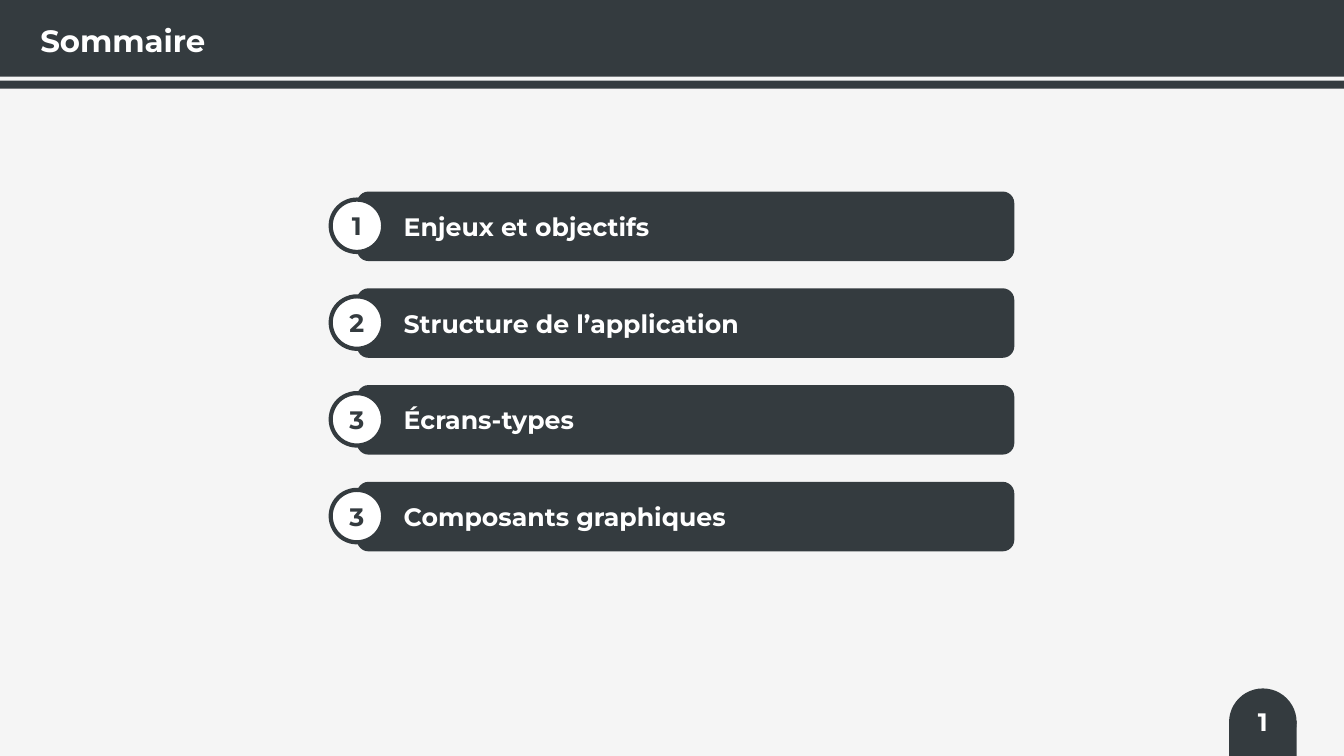
from dataclasses import dataclass

from pptx import Presentation
from pptx.dml.color import RGBColor
from pptx.enum.shapes import MSO_SHAPE as Preset
from pptx.enum.text import MSO_ANCHOR as Anchor, MSO_AUTO_SIZE as AutoSize, PP_ALIGN as Align
from pptx.shapes.autoshape import Shape
from pptx.slide import Slide
from pptx.text.text import TextFrame
from pptx.util import Emu, Pt

EMU_PER_PX = 9144
SLIDE_WIDTH, SLIDE_HEIGHT = 1333, 750
DARK, WHITE, BACKGROUND = "343B3F", "FFFFFF", "F5F5F5"
FONT = "Montserrat"
FIRST_ROW_TOP, ROW_PITCH = 190, 96


@dataclass(frozen=True)
class Box:
    left: int
    top: int
    width: int
    height: int


@dataclass(frozen=True)
class Entry:
    number: str
    label: str


ENTRIES = [
    Entry("1", "Enjeux et objectifs"),
    Entry("2", "Structure de l’application"),
    Entry("3", "Écrans-types"),
    Entry("3", "Composants graphiques"),
]


def px(length: int) -> Emu:
    return Emu(length * EMU_PER_PX)


def color(value: str) -> RGBColor:
    return RGBColor.from_string(value)


def add_block(slide: Slide, preset: Preset, box: Box, fill: str = DARK) -> Shape:
    shape = slide.shapes.add_shape(
        preset, px(box.left), px(box.top), px(box.width), px(box.height)
    )
    shape.shadow.inherit = False
    shape.fill.solid()
    shape.fill.fore_color.rgb = color(fill)
    shape.line.fill.background()
    return shape


def write(frame: TextFrame, text: str, size: int = 18, ink: str = WHITE,
          align: Align = Align.CENTER, margin_left: int = 0) -> None:
    frame.auto_size = AutoSize.NONE
    frame.word_wrap = True
    frame.vertical_anchor = Anchor.MIDDLE
    frame.margin_left = px(margin_left)
    frame.margin_right = frame.margin_top = frame.margin_bottom = 0
    paragraph = frame.paragraphs[0]
    paragraph.alignment = align
    run = paragraph.add_run()
    run.text = text
    run.font.name = FONT
    run.font.size = Pt(size)
    run.font.bold = True
    run.font.color.rgb = color(ink)


def add_header(slide: Slide, text: str) -> None:
    band = add_block(slide, Preset.RECTANGLE, Box(0, 0, SLIDE_WIDTH, 76))
    add_block(slide, Preset.RECTANGLE, Box(0, 80, SLIDE_WIDTH, 8))
    title = slide.shapes.title
    title.left, title.top, title.width, title.height = px(30), px(16), px(999), px(47)
    write(title.text_frame, text, size=22, align=Align.LEFT, margin_left=10)
    band.element.addnext(title.element)


def add_page_tab(slide: Slide, number: str) -> None:
    add_block(slide, Preset.OVAL, Box(1219, 683, 67, 67))
    add_block(slide, Preset.RECTANGLE, Box(1219, 715, 67, 35))
    label = add_block(slide, Preset.RECTANGLE, Box(1226, 696, 53, 40))
    write(label.text_frame, number)


def add_entry(slide: Slide, entry: Entry, top: int) -> None:
    bar = add_block(slide, Preset.ROUNDED_RECTANGLE, Box(354, top, 652, 69))
    write(bar.text_frame, entry.label, align=Align.LEFT, margin_left=43)
    badge = add_block(slide, Preset.OVAL, Box(328, top + 8, 52, 52), WHITE)
    badge.line.color.rgb = color(DARK)
    badge.line.width = Pt(3)
    write(badge.text_frame, entry.number, ink=DARK)


def main() -> None:
    presentation = Presentation()
    presentation.slide_width = px(SLIDE_WIDTH)
    presentation.slide_height = px(SLIDE_HEIGHT)
    slide = presentation.slides.add_slide(presentation.slide_layouts[5])
    slide.background.fill.solid()
    slide.background.fill.fore_color.rgb = color(BACKGROUND)

    add_header(slide, "Sommaire")
    add_page_tab(slide, "1")
    for index, entry in enumerate(ENTRIES):
        add_entry(slide, entry, FIRST_ROW_TOP + index * ROW_PITCH)

    presentation.save("out.pptx")


if __name__ == "__main__":
    main()
